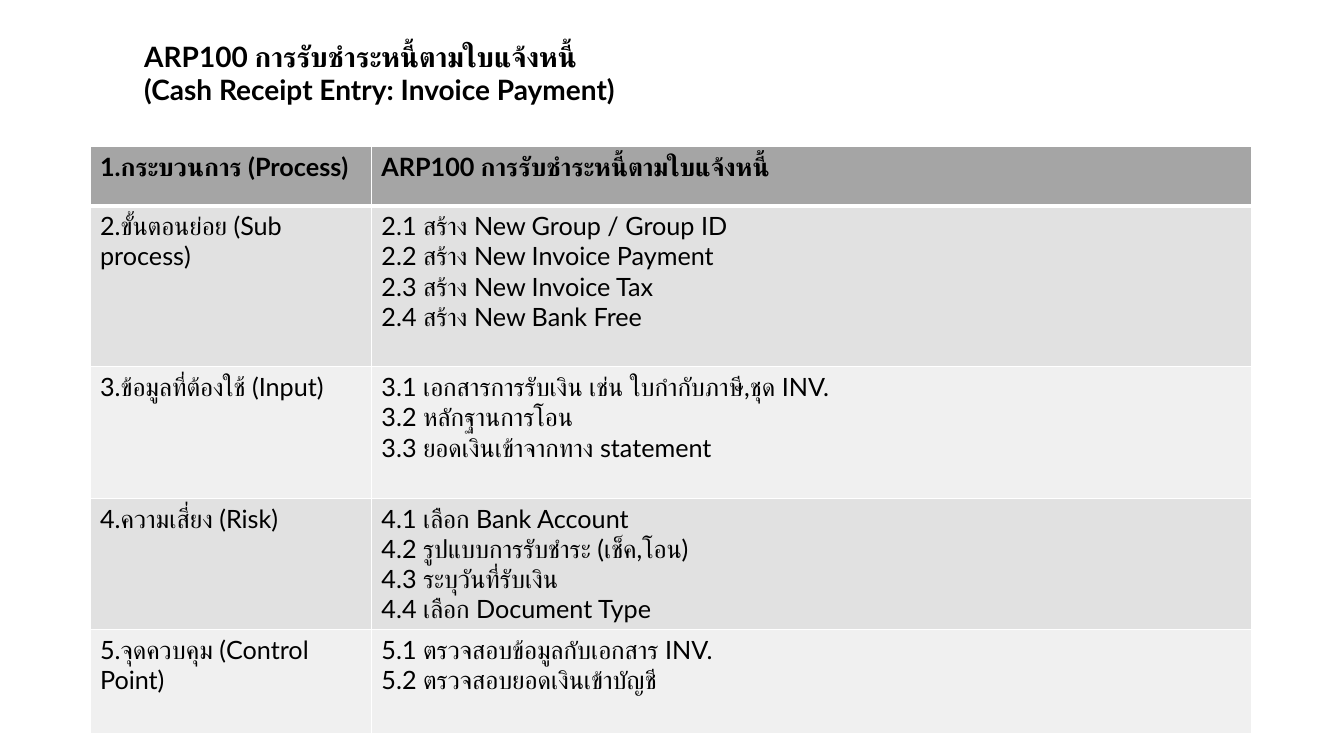
import pptx
import pptx.dml.color
import pptx.enum.text
import pptx.oxml
import pptx.oxml.ns
import pptx.util
from dataclasses import dataclass

Pt = pptx.util.Pt

TITLE = ["ARP100 การรับชำระหนี้ตามใบแจ้งหนี้", "(Cash Receipt Entry: Invoice Payment)"]
ROWS = [
    (42.5, "1.กระบวนการ (Process)", ["ARP100 การรับชำระหนี้ตามใบแจ้งหนี้"]),
    (115, "2.ขั้นตอนย่อย (Sub process)", [
        "2.1 สร้าง New Group / Group ID",
        "2.2 สร้าง New Invoice Payment",
        "2.3 สร้าง New Invoice Tax",
        "2.4 สร้าง New Bank Free",
    ]),
    (94, "3.ข้อมูลที่ต้องใช้ (Input)", [
        "3.1 เอกสารการรับเงิน เช่น ใบกำกับภาษี,ชุด INV.",
        "3.2 หลักฐานการโอน",
        "3.3 ยอดเงินเข้าจากทาง statement",
    ]),
    (94, "4.ความเสี่ยง (Risk)", [
        "4.1 เลือก Bank Account",
        "4.2 รูปแบบการรับชำระ (เช็ค,โอน)",
        "4.3 ระบุวันที่รับเงิน",
        "4.4 เลือก Document Type",
    ]),
    (74, "5.จุดควบคุม (Control Point)", [
        "5.1 ตรวจสอบข้อมูลกับเอกสาร INV.",
        "5.2 ตรวจสอบยอดเงินเข้าบัญชี",
    ]),
]
COLUMN_WIDTHS = [201, 628.5]
TABLE_LEFT, TABLE_TOP = 64.3, 104.4


@dataclass(frozen=True)
class Theme:
    font: str = "Lato"
    text: str = "000000"
    border: str = "FFFFFF"
    header: str = "A5A5A5"
    bands: tuple = ("E1E1E1", "F0F0F0")
    title_size: int = 20
    body_size: int = 18
    thin: int = 1
    thick: int = 3


THEME = Theme()


def color(value):
    return pptx.dml.color.RGBColor.from_string(value)


def write(frame, lines, size, bold):
    frame.text = "\n".join(lines)
    for para in frame.paragraphs:
        para.alignment = pptx.enum.text.PP_ALIGN.LEFT
        for span in para.runs:
            span.font.size = Pt(size)
            span.font.bold = bold
            span.font.color.rgb = color(THEME.text)
            span.font.name = THEME.font
            script_font = pptx.oxml.parse_xml(
                f'<a:cs {pptx.oxml.ns.nsdecls("a")} typeface="{THEME.font}"/>'
            )
            span.font._element.append(script_font)


def add_borders(cell, top, bottom):
    properties = cell._tc.get_or_add_tcPr()
    sides = {"lnL": THEME.thin, "lnR": THEME.thin, "lnT": top, "lnB": bottom}
    for side, width in sides.items():
        properties.append(pptx.oxml.parse_xml(
            f'<a:{side} {pptx.oxml.ns.nsdecls("a")} w="{Pt(width)}">'
            f'<a:solidFill><a:srgbClr val="{THEME.border}"/></a:solidFill></a:{side}>'
        ))


def add_title(page):
    title = page.shapes.title
    title.left, title.top, title.width, title.height = Pt(103), Pt(28), Pt(760), Pt(52)
    frame = title.text_frame
    frame.margin_left = frame.margin_right = frame.margin_top = frame.margin_bottom = 0
    frame.vertical_anchor = pptx.enum.text.MSO_ANCHOR.TOP
    frame.auto_size = pptx.enum.text.MSO_AUTO_SIZE.NONE
    write(frame, TITLE, THEME.title_size, True)


def add_process_table(page):
    height = sum(row[0] for row in ROWS)
    table = page.shapes.add_table(
        len(ROWS), len(COLUMN_WIDTHS), Pt(TABLE_LEFT), Pt(TABLE_TOP),
        Pt(sum(COLUMN_WIDTHS)), Pt(height),
    ).table
    for column, width in zip(table.columns, COLUMN_WIDTHS):
        column.width = Pt(width)
    for index, (row_height, label, details) in enumerate(ROWS):
        table.rows[index].height = Pt(row_height)
        is_header = index == 0
        fill = THEME.header if is_header else THEME.bands[(index - 1) % 2]
        top = THEME.thick if index == 1 else THEME.thin
        bottom = THEME.thick if is_header else THEME.thin
        for cell, lines in zip(table.rows[index].cells, ([label], details)):
            write(cell.text_frame, lines, THEME.body_size, is_header)
            add_borders(cell, top, bottom)
            cell.fill.solid()
            cell.fill.fore_color.rgb = color(fill)


def main():
    deck = pptx.Presentation()
    deck.slide_width, deck.slide_height = Pt(960), Pt(540)
    page = deck.slides.add_slide(deck.slide_layouts[5])
    add_title(page)
    add_process_table(page)
    deck.save("out.pptx")


if __name__ == "__main__":
    main()
